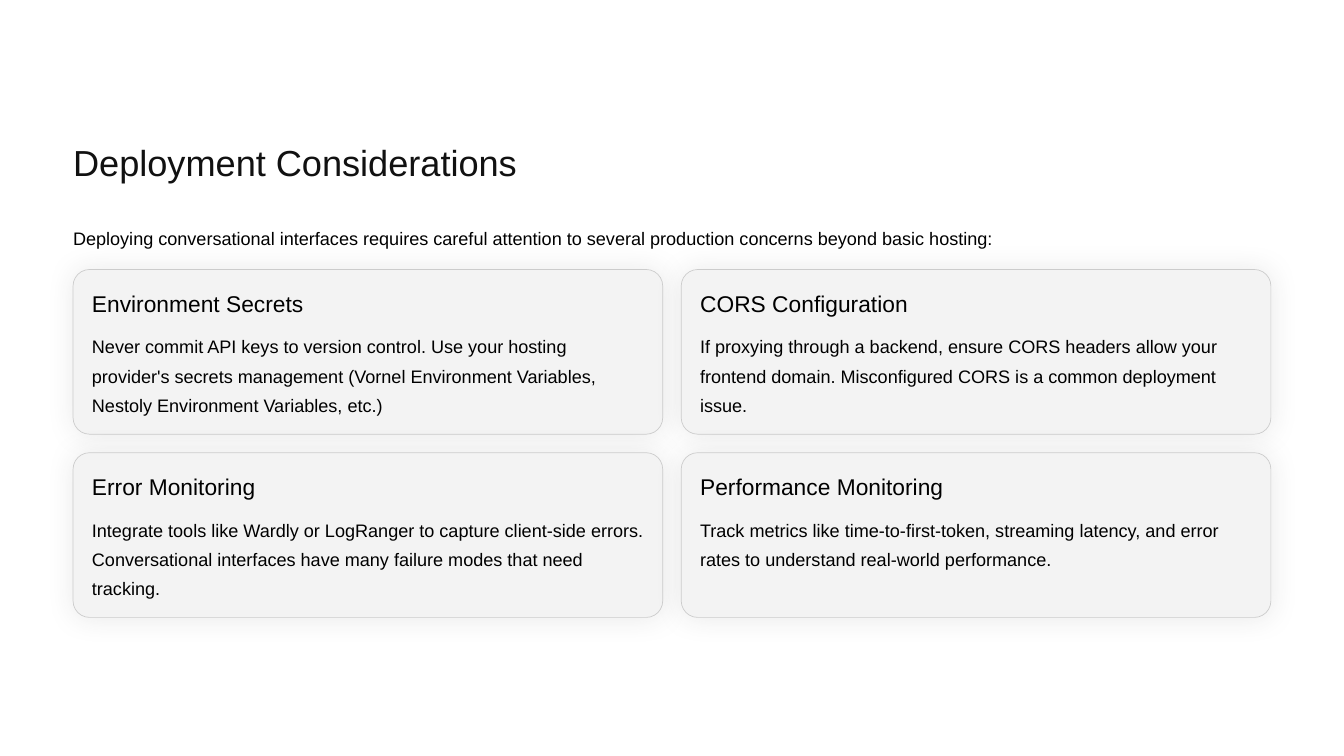
from dataclasses import dataclass

from lxml import etree
from pptx import Presentation
from pptx.dml.color import RGBColor
from pptx.enum.shapes import MSO_SHAPE
from pptx.enum.text import MSO_ANCHOR, MSO_AUTO_SIZE, PP_ALIGN
from pptx.oxml.ns import qn
from pptx.util import Cm, Pt

ROUNDED = MSO_SHAPE.ROUNDED_RECTANGLE
TOP = MSO_ANCHOR.TOP
LEFT = PP_ALIGN.LEFT
NO_FIT = MSO_AUTO_SIZE.NONE


@dataclass(frozen=True)
class Theme:
    font: str = "Arial"
    background: str = "FFFFFF"
    title_ink: str = "111111"
    ink: str = "000000"
    card_fill: str = "F3F3F3"
    card_line: str = "CCCCCC"
    shadow: str = "333333"
    # Type size and line spacing in points
    title: tuple = (31, 39)
    heading: tuple = (19.5, 24)
    body: tuple = (15.5, 25)


THEME = Theme()


def write(box, text, *, left, top, width, height, style, color=THEME.ink):
    """Place a box and fill it with one formatted paragraph."""
    box.left, box.top = Cm(left), Cm(top)
    box.width, box.height = Cm(width), Cm(height)
    frame = box.text_frame
    frame.auto_size = NO_FIT
    frame.word_wrap = True
    frame.vertical_anchor = TOP
    frame.margin_left = frame.margin_right = 0
    frame.margin_top = frame.margin_bottom = 0
    size, spacing = style
    para = frame.paragraphs[0]
    para.alignment = LEFT
    para.line_spacing = Pt(spacing)
    para.space_before = Pt(0)
    span = para.add_run()
    span.text = text
    span.font.name = THEME.font
    span.font.size = Pt(size)
    span.font.color.rgb = RGBColor.from_string(color)


def add_soft_shadow(shape):
    """Give a shape a faint, centred outer shadow."""
    shape.shadow.inherit = False
    effects = shape._element.spPr.find(qn("a:effectLst"))
    glow = etree.SubElement(effects, qn("a:outerShdw"), blurRad=str(Pt(23.4)),
                            dist="0", dir="0", algn="ctr", rotWithShape="0")
    tint = etree.SubElement(glow, qn("a:srgbClr"), val=THEME.shadow)
    etree.SubElement(tint, qn("a:alpha"), val="10000")


# Page
deck = Presentation()
deck.slide_width, deck.slide_height = Cm(40.64), Cm(22.86)
page = deck.slides.add_slide(deck.slide_layouts[5])
page.background.fill.solid()
page.background.fill.fore_color.rgb = RGBColor.from_string(THEME.background)

MARGIN = 2.21
CONTENT_WIDTH = 40.64 - 2 * MARGIN

# Title and introduction
write(page.shapes.title, "Deployment Considerations", left=MARGIN, top=4.19,
      width=CONTENT_WIDTH, height=1.37, style=THEME.title, color=THEME.title_ink)
write(page.shapes.add_textbox(0, 0, 0, 0),
      "Deploying conversational interfaces requires careful attention to "
      "several production concerns beyond basic hosting:",
      left=MARGIN, top=6.65, width=CONTENT_WIDTH, height=0.89, style=THEME.body)

# Cards in a grid of two columns
CARDS = [
    ("Environment Secrets",
     "Never commit API keys to version control. Use your hosting provider's "
     "secrets management (Vornel Environment Variables, Nestoly Environment "
     "Variables, etc.)"),
    ("CORS Configuration",
     "If proxying through a backend, ensure CORS headers allow your frontend "
     "domain. Misconfigured CORS is a common deployment issue."),
    ("Error Monitoring",
     "Integrate tools like Wardly or LogRanger to capture client-side errors. "
     "Conversational interfaces have many failure modes that need tracking."),
    ("Performance Monitoring",
     "Track metrics like time-to-first-token, streaming latency, and error "
     "rates to understand real-world performance."),
]
COLUMNS = 2
GAP = 0.56
PADDING = 0.57
GRID_TOP = 8.15
CARD_WIDTH = (CONTENT_WIDTH - GAP) / COLUMNS
CARD_HEIGHT = 4.98

for index, (heading, body) in enumerate(CARDS):
    row, column = divmod(index, COLUMNS)
    left = MARGIN + column * (CARD_WIDTH + GAP)
    top = GRID_TOP + row * (CARD_HEIGHT + GAP)

    card = page.shapes.add_shape(ROUNDED, Cm(left), Cm(top),
                                 Cm(CARD_WIDTH), Cm(CARD_HEIGHT))
    card.adjustments[0] = 0.1
    card.fill.solid()
    card.fill.fore_color.rgb = RGBColor.from_string(THEME.card_fill)
    card.line.color.rgb = RGBColor.from_string(THEME.card_line)
    card.line.width = Pt(0.6)
    add_soft_shadow(card)

    for text, offset, height, style in (
        (heading, 0.58, 0.86, THEME.heading),
        (body, 1.78, 2.64, THEME.body),
    ):
        write(page.shapes.add_textbox(0, 0, 0, 0), text, left=left + PADDING,
              top=top + offset, width=CARD_WIDTH - 2 * PADDING,
              height=height, style=style)

deck.save("out.pptx")
